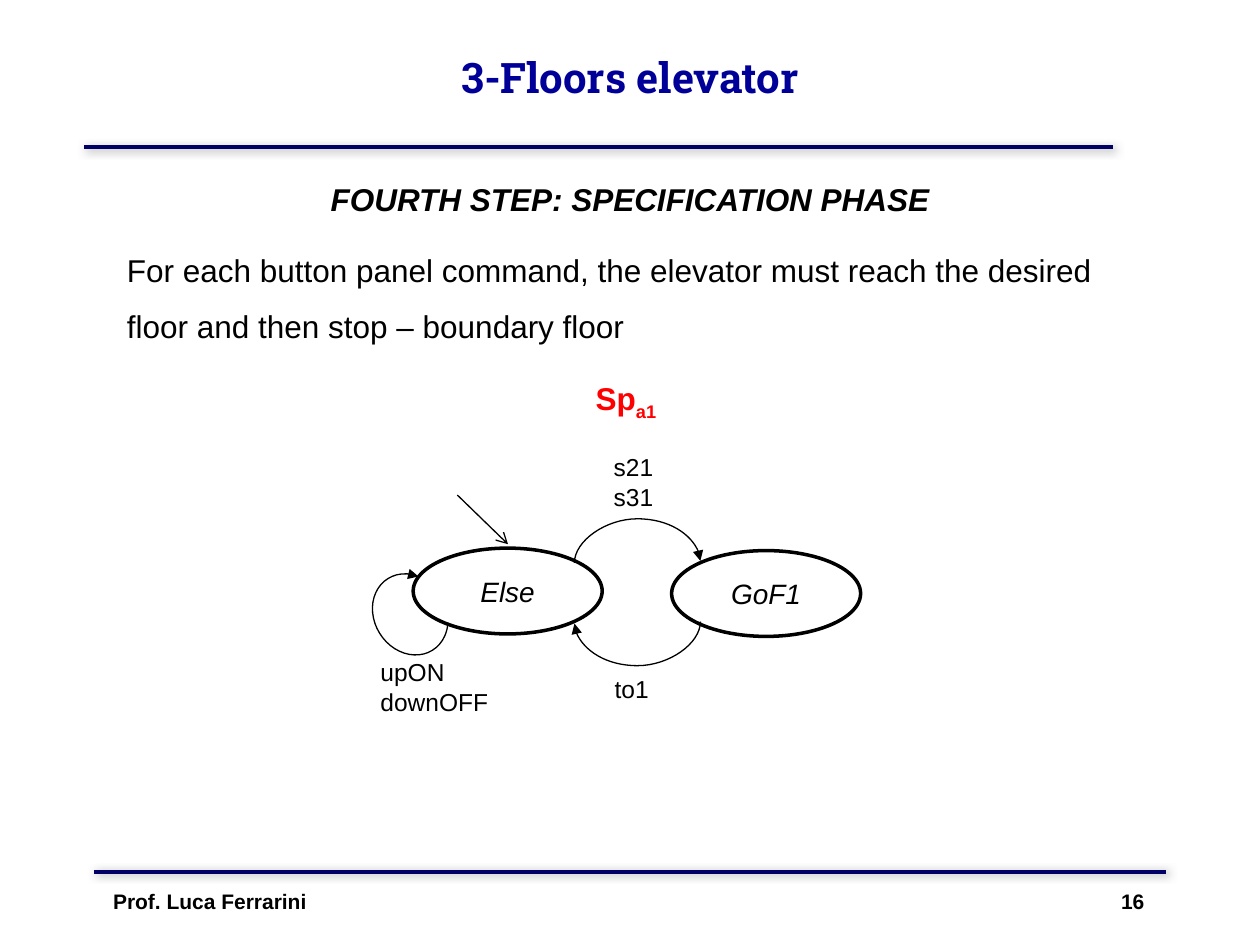
from lxml import etree
from pptx import Presentation
from pptx.dml.color import RGBColor
from pptx.enum.shapes import MSO_CONNECTOR as Link, MSO_SHAPE as Shape
from pptx.enum.text import MSO_ANCHOR as Anchor, PP_ALIGN as Align
from pptx.oxml.ns import qn
from pptx.util import Cm, Pt

BLACK = RGBColor(0x00, 0x00, 0x00)
WHITE = RGBColor(0xFF, 0xFF, 0xFF)
RED = RGBColor(0xFF, 0x00, 0x00)
NAVY = RGBColor(0x00, 0x00, 0x66)
TITLE_BLUE = RGBColor(0x00, 0x00, 0x99)

# Content: lengths in cm, boxes as left, top, width, height
TITLE = "3-Floors elevator"
TITLE_BOX = (1.9, -0.05, 21.6, 3.18)
RULES = [(1.7, 2.97, 22.43, 2.97), (1.9, 17.57, 23.5, 17.57)]
TEXTS = [
    ((1.73, 3.51, 21.95, 1.02), ["FOURTH STEP: SPECIFICATION PHASE"],
     dict(size=18, bold=True, italic=True, align=Align.CENTER)),
    ((2.31, 4.55, 20.75, 2.41),
     ["For each button panel command, the elevator must reach the desired "
      "floor and then stop – boundary floor"], dict(size=18, spacing=1.5)),
    ((11.76, 7.52, 2, 1.02), ["Sp"],
     dict(size=18, bold=True, color=RED, subscript="a1")),
    ((12.12, 8.99, 2.54, 1.45), ["s21", "s31"], dict(size=14)),
    ((12.14, 13.46, 1.5, 0.89), ["to1"], dict(size=14)),
    ((7.42, 13.13, 3.2, 1.45), ["upON", "downOFF"], dict(size=14)),
    ((2.03, 17.78, 10, 1.27), ["Prof. Luca Ferrarini"],
     dict(size=12, bold=True)),
    ((20.3, 17.78, 3.02, 1.27), ["16"],
     dict(size=12, bold=True, align=Align.RIGHT)),
]
STATES = [("Else", 8.33, 11.05), ("GoF1", 13.54, 11.1)]
STATE_SIZE = (3.81, 1.73)
ENTRY_ARROW = (9.22, 9.98, 10.24, 10.97)
# Transitions: centre x, centre y, direction (-1 bends up, 1 bends down)
TRANSITIONS = [(12.85, 11.33, -1), (12.85, 12.55, 1)]
SPAN, OFFSET, DEPTH = 2.54, 0.04, 0.89
SELF_LOOP = (7.42, 11.66, 1.7, 1.45)


def cm(values):
    return [Cm(value) for value in values]


def write(shape, lines, size=14, font="Arial", color=BLACK, bold=False,
          italic=False, align=Align.LEFT, anchor=Anchor.TOP, spacing=None,
          subscript=None):
    frame = shape.text_frame
    frame.word_wrap = True
    frame.vertical_anchor = anchor
    for number, line in enumerate(lines):
        para = frame.add_paragraph() if number else frame.paragraphs[0]
        para.alignment = align
        if spacing:
            para.line_spacing = spacing
        for text in filter(None, (line, subscript)):
            span = para.add_run()
            span.text = text
            span.font.name, span.font.size = font, Pt(size)
            span.font.bold, span.font.italic = bold, italic
            span.font.color.rgb = color
            if text == subscript:
                span.font._element.set("baseline", "-25000")


def style_line(shape, width, color=BLACK, head=None, tail=None):
    shape.line.color.rgb = color
    shape.line.width = Pt(width)
    line = shape.line._get_or_add_ln()
    for tag, kind in (("a:headEnd", head), ("a:tailEnd", tail)):
        if kind:
            etree.SubElement(line, qn(tag), type=kind)


def connect(slide, kind, ends, width, **style):
    link = slide.shapes.add_connector(kind, *cm(ends))
    style_line(link, width, **style)
    effects = etree.SubElement(link._element.spPr, qn("a:effectLst"))
    return link, effects


def add_shadow(effects):
    shadow = etree.SubElement(effects, qn("a:outerShdw"), blurRad=str(Pt(5)),
                              dist=str(Pt(1.4)), dir="2700000")
    tone = etree.SubElement(shadow, qn("a:srgbClr"), val="808080")
    etree.SubElement(tone, qn("a:alpha"), val="75000")


def add_transition(slide, x, y, direction):
    dx, dy = direction * OFFSET / 2, direction * SPAN / 2
    link, _ = connect(slide, Link.CURVE, (x - dx, y - dy, x + dx, y + dy),
                      0.75, tail="triangle")
    properties = link._element.spPr
    properties.find(qn("a:xfrm")).set("rot", "5400000")
    guides = properties.find(qn("a:prstGeom")).find(qn("a:avLst"))
    etree.SubElement(guides, qn("a:gd"), name="adj1",
                     fmla=f"val {round(DEPTH / OFFSET * 100000)}")


def main():
    deck = Presentation()
    deck.slide_width, deck.slide_height = Cm(25.4), Cm(19.05)
    slide = deck.slides.add_slide(deck.slide_layouts[5])

    # Title and rules
    title = slide.shapes.title
    title.left, title.top, title.width, title.height = cm(TITLE_BOX)
    write(title, [TITLE], size=24, font="Roboto Slab", color=TITLE_BLUE,
          bold=True, align=Align.CENTER, anchor=Anchor.MIDDLE)
    for ends in RULES:
        _, effects = connect(slide, Link.STRAIGHT, ends, 2.25, color=NAVY)
        add_shadow(effects)

    # States
    for name, left, top in STATES:
        state = slide.shapes.add_shape(Shape.OVAL,
                                       *cm((left, top, *STATE_SIZE)))
        state.shadow.inherit = False
        state.fill.solid()
        state.fill.fore_color.rgb = WHITE
        style_line(state, 2)
        write(state, [name], size=16, italic=True, align=Align.CENTER,
              anchor=Anchor.MIDDLE)

    # Entry arrow, transitions and self-loop
    connect(slide, Link.STRAIGHT, ENTRY_ARROW, 0.75, tail="arrow")
    for transition in TRANSITIONS:
        add_transition(slide, *transition)
    loop = slide.shapes.add_shape(Shape.ARC, *cm(SELF_LOOP))
    loop.shadow.inherit = False
    loop.fill.background()
    loop.adjustments[0], loop.adjustments[1] = 81.6, 27.6
    loop.rotation = 238.3
    loop._element.spPr.find(qn("a:xfrm")).set("flipH", "1")
    style_line(loop, 0.75, head="triangle")

    # Texts, labels and footer
    for place, lines, style in TEXTS:
        write(slide.shapes.add_textbox(*cm(place)), lines, **style)

    deck.save("out.pptx")


if __name__ == "__main__":
    main()
